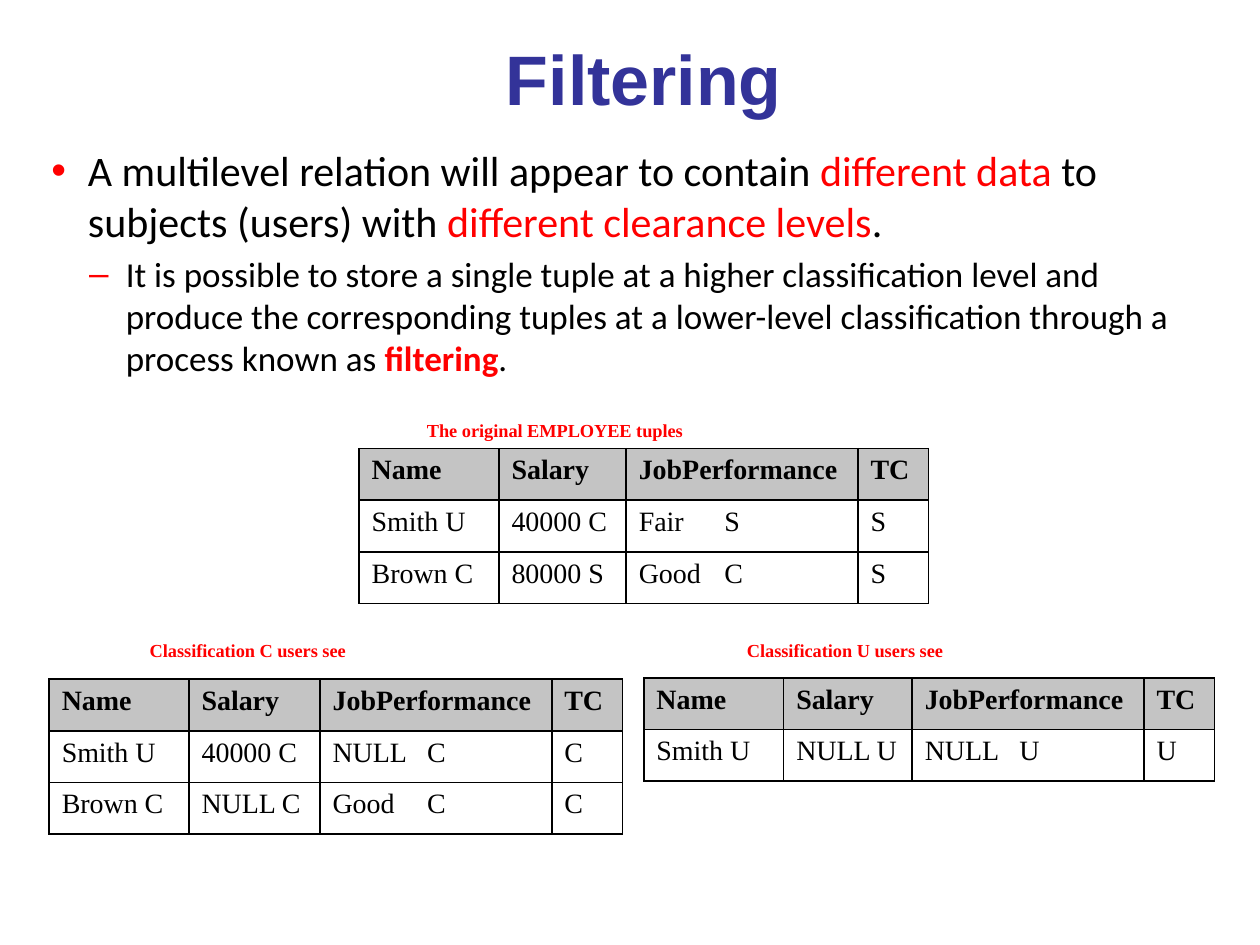
from dataclasses import dataclass

from lxml.etree import SubElement
from pptx import Presentation
from pptx.dml.color import RGBColor
from pptx.enum.text import MSO_ANCHOR, PP_ALIGN
from pptx.oxml.ns import qn
from pptx.slide import Slide
from pptx.table import _Cell
from pptx.text.text import _Paragraph
from pptx.util import Inches, Pt

NAVY = RGBColor(0x33, 0x33, 0x99)
RED = RGBColor(0xFF, 0x00, 0x00)
BLACK = RGBColor(0x00, 0x00, 0x00)
GRAY = RGBColor(0xC4, 0xC4, 0xC4)
SERIF = "Times New Roman"
HEADER = ("Name", "Salary", "JobPerformance", "TC")


@dataclass
class Span:
    text: str
    color: RGBColor = BLACK
    bold: bool = False


@dataclass
class Bullet:
    mark: str
    size: float
    indent: float
    spans: list[Span]


@dataclass
class Relation:
    caption: str
    caption_at: tuple[float, float, float]  # left, top, width
    left: float
    top: float
    salary_width: float
    label_tab: float  # where the classification label starts in a cell
    rows: list[tuple[str, ...]]


BULLETS = [
    Bullet("•", 24, 0.29, [
        Span("A multilevel relation will appear to contain "),
        Span("different data ", RED),
        Span("to subjects (users) with "),
        Span("different clearance levels", RED),
        Span("."),
    ]),
    Bullet("–", 20, 0.59, [
        Span("It is possible to store a single tuple at a higher classification "
             "level and produce the corresponding tuples at a lower-level "
             "classification through a process known as "),
        Span("filtering", RED, True),
        Span("."),
    ]),
]

RELATIONS = [
    Relation("The original EMPLOYEE tuples", (3.29, 3.11, 4.05), 2.85, 3.56, 1.01, 0.68, [
        ("Smith U", "40000 C", "Fair\tS", "S"),
        ("Brown C", "80000 S", "Good\tC", "S"),
    ]),
    Relation("Classification C users see", (1.09, 4.86, 2.94), 0.39, 5.39, 1.04, 0.75, [
        ("Smith U", "40000 C", "NULL\tC", "C"),
        ("Brown C", "NULL C", "Good\tC", "C"),
    ]),
    Relation("Classification U users see", (5.83, 4.86, 2.94), 5.11, 5.38, 1.02, 0.75, [
        ("Smith U", "NULL U", "NULL\tU", "U"),
    ]),
]


def add_span(para: _Paragraph, span: Span, font: str, size: float) -> None:
    run = para.add_run()
    run.text = span.text
    run.font.name = font
    run.font.size = Pt(size)
    run.font.bold = span.bold
    run.font.color.rgb = span.color


def add_bullets(page: Slide, bullets: list[Bullet]) -> None:
    box = page.shapes.add_textbox(Inches(0.31), Inches(1.1), Inches(9.27), Inches(2.32))
    frame = box.text_frame
    frame.word_wrap = True
    for index, bullet in enumerate(bullets):
        para = frame.add_paragraph() if index else frame.paragraphs[0]
        para.level = index
        properties = para._p.get_or_add_pPr()
        properties.set("marL", str(Inches(bullet.indent)))
        properties.set("indent", str(-Inches(0.29)))
        color = SubElement(properties, qn("a:buClr"))
        SubElement(color, qn("a:srgbClr"), val=str(RED))
        SubElement(properties, qn("a:buFont"), typeface="Arial")
        SubElement(properties, qn("a:buChar"), char=bullet.mark)
        if index:
            para.space_before = Pt(bullet.size * 0.2)
        for span in bullet.spans:
            add_span(para, span, "Calibri", bullet.size)


def add_borders(cell: _Cell) -> None:
    properties = cell._tc.get_or_add_tcPr()
    for side in ("lnL", "lnR", "lnT", "lnB"):
        line = SubElement(properties, qn(f"a:{side}"), w=str(Pt(1)))
        fill = SubElement(line, qn("a:solidFill"))
        SubElement(fill, qn("a:srgbClr"), val=str(BLACK))


def add_tab_stop(para: _Paragraph, position: float) -> None:
    stops = SubElement(para._p.get_or_add_pPr(), qn("a:tabLst"))
    SubElement(stops, qn("a:tab"), pos=str(Inches(position)), algn="l")


def add_caption(page: Slide, relation: Relation) -> None:
    left, top, width = relation.caption_at
    box = page.shapes.add_textbox(Inches(left), Inches(top), Inches(width), Inches(0.4))
    frame = box.text_frame
    frame.word_wrap = True
    frame.vertical_anchor = MSO_ANCHOR.BOTTOM
    frame.margin_bottom = Inches(0.01)
    add_span(frame.paragraphs[0], Span(relation.caption, RED, True), SERIF, 10.5)


def add_relation(page: Slide, relation: Relation) -> None:
    rows = [HEADER, *relation.rows]
    widths = (1.11, relation.salary_width, 1.84, 0.56)
    row_height = 0.41
    table = page.shapes.add_table(
        len(rows), len(widths), Inches(relation.left), Inches(relation.top),
        Inches(sum(widths)), Inches(row_height * len(rows))).table
    table.first_row = False
    table.horz_banding = False
    for column, width in zip(table.columns, widths):
        column.width = Inches(width)
    for row_index, values in enumerate(rows):
        table.rows[row_index].height = Inches(row_height)
        is_header = row_index == 0
        for column_index, value in enumerate(values):
            cell = table.cell(row_index, column_index)
            add_borders(cell)
            if is_header:
                cell.fill.solid()
                cell.fill.fore_color.rgb = GRAY
            else:
                cell.fill.background()
            para = cell.text_frame.paragraphs[0]
            if "\t" in value:
                add_tab_stop(para, relation.label_tab)
            add_span(para, Span(value, bold=is_header), SERIF, 16)


def add_title(page: Slide, text: str) -> None:
    title = page.shapes.title
    title.left, title.top = Inches(0.31), Inches(0.13)
    title.width, title.height = Inches(9.6), Inches(0.97)
    title.text_frame.vertical_anchor = MSO_ANCHOR.MIDDLE
    para = title.text_frame.paragraphs[0]
    para.alignment = PP_ALIGN.CENTER
    add_span(para, Span(text, NAVY, True), "Arial", 40)


def main() -> None:
    deck = Presentation()
    deck.slide_width, deck.slide_height = Inches(10), Inches(7.5)
    page = deck.slides.add_slide(deck.slide_layouts[5])  # title only

    # Heading and explanation
    add_title(page, "Filtering")
    add_bullets(page, BULLETS)

    # Tables with their captions
    for relation in RELATIONS:
        add_relation(page, relation)
        add_caption(page, relation)

    deck.save("out.pptx")


if __name__ == "__main__":
    main()
